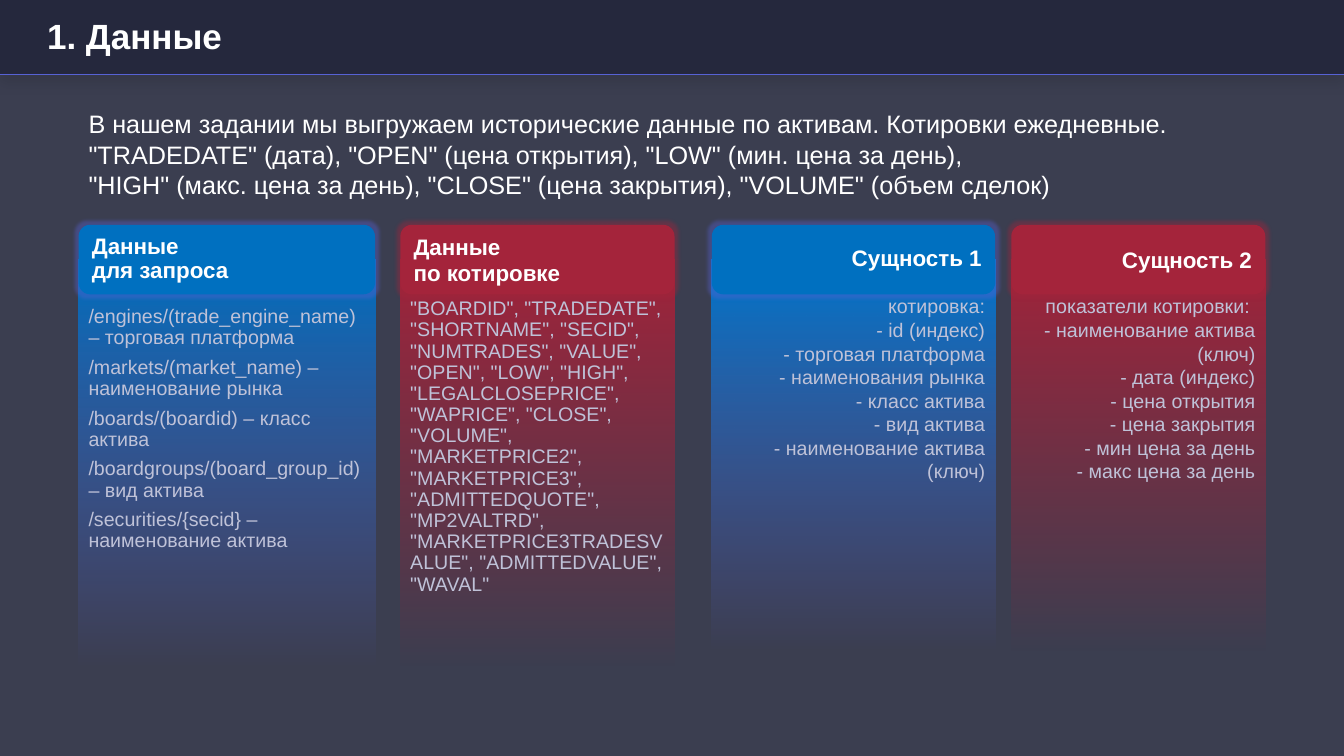
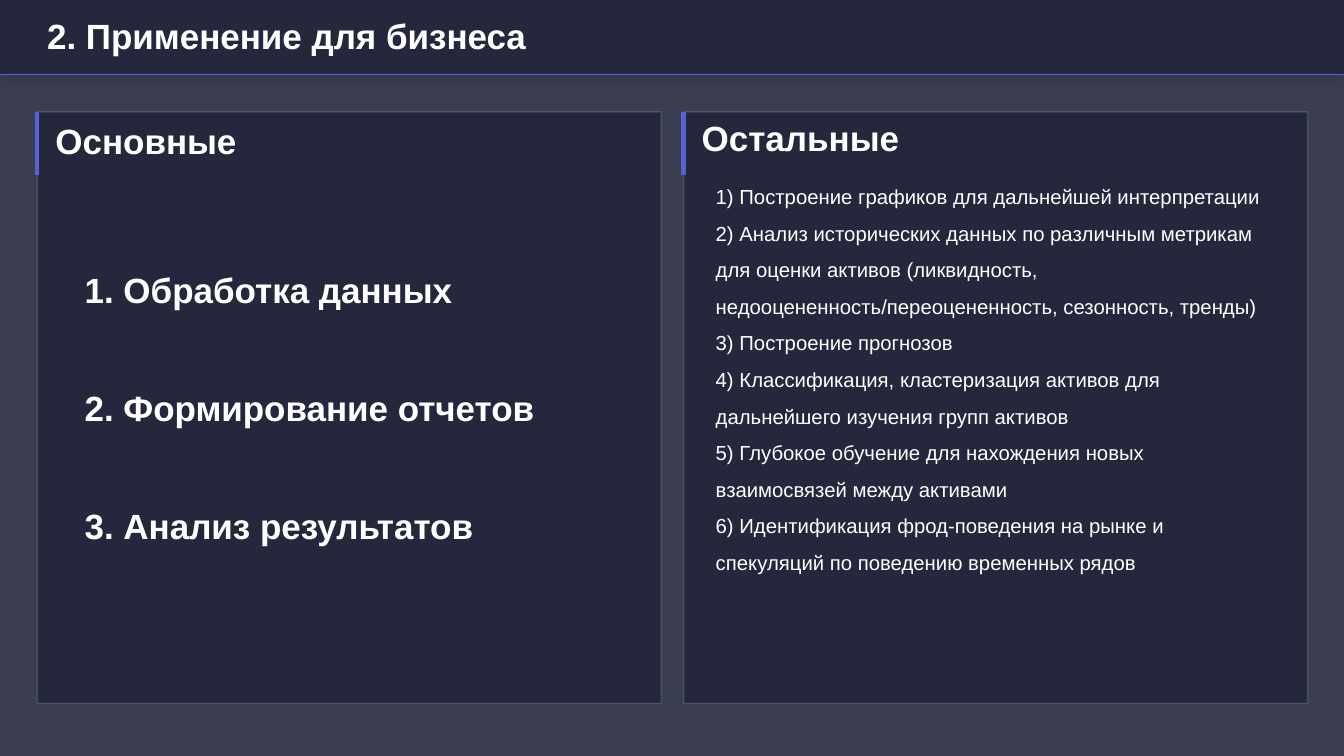
import dataclasses

import pptx
import pptx.dml.color
import pptx.enum.shapes
import pptx.enum.text
import pptx.oxml.ns
import pptx.util
from lxml import etree

Inches = pptx.util.Inches
Pt = pptx.util.Pt
Shape = pptx.enum.shapes.MSO_SHAPE
Align = pptx.enum.text.PP_ALIGN
Anchor = pptx.enum.text.MSO_ANCHOR
qn = pptx.oxml.ns.qn


@dataclasses.dataclass(frozen=True)
class Theme:
    font: str = "Arial"
    back: str = "3B3E50"
    navy: str = "25283D"
    line: str = "5762D5"
    edge: str = "99DDC8"
    blue: str = "0070C0"
    sky: str = "0077CD"
    red: str = "A4243B"
    white: str = "FFFFFF"
    pale: str = "BFC2D8"
    black: str = "000000"
    title: float = 25
    lead: float = 18
    head: float = 16
    item: float = 14.5
    body: float = 14


def tint(text):
    return pptx.dml.color.RGBColor.from_string(text)


def fade(node, share):
    """Set the opacity, in percent, of a colour node."""
    etree.SubElement(node, qn("a:alpha"), val=str(share * 1000))


class Deck:
    inset = (0.1, 0.05, 0.1, 0.05)

    def __init__(self, theme):
        self.theme = theme
        self.show = pptx.Presentation()
        self.show.slide_width = Inches(13.33)
        self.show.slide_height = Inches(7.5)
        fill = self.show.slide_master.background.fill
        fill.solid()
        fill.fore_color.rgb = tint(theme.back)

    def page(self, title):
        """Start a slide with the shared band, rule and title."""
        look = self.theme
        self.slide = self.show.slides.add_slide(self.show.slide_layouts[6])
        band = self.box((0, 0, 13.33, 0.74), look.navy)
        self.glow(band, "outerShdw", look.black, 10, blurRad=Pt(10),
                  dist=Pt(5), dir=90 * 60000)
        self.rule((0, 0.74), (13.33, 0.74), 1)
        self.text((0.37, 0.14, 12.6, 0.47), [title], look.title, bold=True,
                  space={"line_spacing": 0.9}, anchor=Anchor.MIDDLE)

    def box(self, spot, fill, kind=Shape.RECTANGLE):
        shape = self.slide.shapes.add_shape(kind, *map(Inches, spot))
        shape.shadow.inherit = False
        shape.line.fill.background()
        shape.fill.solid()
        shape.fill.fore_color.rgb = tint(fill)
        return shape

    def glow(self, shape, kind, hue, share, **sizes):
        """Add a glow or shadow effect to a shape."""
        group = shape.element.spPr.find(qn("a:effectLst"))
        node = etree.SubElement(group, qn("a:" + kind))
        for name, size in sizes.items():
            node.set(name, str(int(size)))
        fade(etree.SubElement(node, qn("a:srgbClr"), val=hue), share)

    def melt(self, shape, top, end):
        """Fill with a gradient that turns clear at the bottom."""
        fill = shape.fill
        fill.gradient()
        fill.gradient_angle = 270
        for stop, hue, place in zip(fill.gradient_stops, (top, end), (0, 1)):
            stop.color.rgb = tint(hue)
            stop.position = place
        nodes = list(shape.element.spPr.iter(qn("a:srgbClr")))
        fade(nodes[-1], 0)

    def rule(self, start, end, width):
        rule = self.slide.shapes.add_connector(
            pptx.enum.shapes.MSO_CONNECTOR.STRAIGHT,
            *map(Inches, start + end))
        rule.line.color.rgb = tint(self.theme.line)
        rule.line.width = Pt(width)
        etree.SubElement(rule.element.spPr, qn("a:effectLst"))

    def text(self, spot, lines, size, **style):
        box = self.slide.shapes.add_textbox(*map(Inches, spot))
        self.label(box, lines, size, **style)

    def label(self, shape, lines, size, hue=None, bold=False, space=None,
              align=Align.LEFT, anchor=Anchor.TOP, inset=inset):
        """Set styled paragraphs in a shape."""
        frame = shape.text_frame
        sides = ("margin_left", "margin_top", "margin_right", "margin_bottom")
        setup = dict(zip(sides, map(Inches, inset)))
        setup.update(word_wrap=True, vertical_anchor=anchor)
        for name, value in setup.items():
            setattr(frame, name, value)
        face = {"name": self.theme.font, "size": Pt(size), "bold": bold}
        form = {"alignment": align, **(space or {})}
        for index, line in enumerate(lines):
            para = frame.add_paragraph() if index else frame.paragraphs[0]
            para.text = line
            for name, value in form.items():
                setattr(para, name, value)
            for run in para.runs:
                for name, value in face.items():
                    setattr(run.font, name, value)
                run.font.color.rgb = tint(hue or self.theme.white)

    def card(self, left, width, tall, hues, halo, head, lines, top, body):
        """Draw a fading column under a glowing header."""
        look = self.theme
        cap, start, end = hues
        panel = self.box((left, 2.57, width, tall), start)
        self.melt(panel, start, end)
        self.label(panel, lines, look.body, look.pale, **body)
        crown = self.box((left, 2.23, width, 0.69), cap,
                         Shape.ROUNDED_RECTANGLE)
        self.glow(crown, "glow", halo, 40, rad=Pt(5))
        self.label(crown, [head], look.head, bold=True,
                   anchor=Anchor.MIDDLE, **top)

    def panel(self, left, drop, head):
        """Draw a framed panel with an accent bar and heading."""
        look = self.theme
        frame = self.box((left, 1.11, 6.19, 5.87), look.navy)
        frame.line.color.rgb = tint(look.edge)
        frame.line.width = Pt(1)
        edge = frame.element.spPr.find(qn("a:ln"))
        fade(next(edge.iter(qn("a:srgbClr"))), 20)
        self.rule((left, 1.11), (left, 1.74), 3)
        self.text((left + 0.18, drop, 6.08, 0.52), [head], look.title,
                  bold=True, inset=(0, 0.05, 0.1, 0.05))


def data(deck):
    look = deck.theme
    deck.page("1. Данные")
    tight = {"line_spacing": 0.9, "space_after": Pt(6)}
    left = {"space": tight, "anchor": Anchor.MIDDLE}
    right = {"align": Align.RIGHT, "inset": (0.1, 0.35, 0.1, 0)}
    blue = (look.blue, look.blue, look.line)
    sky = (look.blue, look.sky, look.line)
    red = (look.red,) * 3
    deck.card(0.78, 2.94, 4.05, blue, look.line, "Данные\nдля запроса", [
        "/engines/(trade_engine_name) – торговая платформа",
        "/markets/(market_name) – наименование рынка",
        "/boards/(boardid) – класс актива",
        "/boardgroups/(board_group_id) – вид актива",
        "/securities/{secid} – наименование актива",
    ], {"space": tight}, {**left, "inset": (0.1, 0, 0.1, 0.67)})
    deck.card(3.97, 2.72, 4.05, red, look.red, "Данные\nпо котировке", [
        '"BOARDID", "TRADEDATE", "SHORTNAME", "SECID", "NUMTRADES", '
        '"VALUE", "OPEN", "LOW", "HIGH", "LEGALCLOSEPRICE", "WAPRICE", '
        '"CLOSE", "VOLUME", "MARKETPRICE2", "MARKETPRICE3", '
        '"ADMITTEDQUOTE", "MP2VALTRD", "MARKETPRICE3TRADESVALUE", '
        '"ADMITTEDVALUE", "WAVAL"',
    ], {}, {**left, "inset": (0.1, 0.35, 0.1, 0.67)})
    deck.card(7.06, 2.81, 3.89, sky, look.line, "Сущность 1", [
        "котировка:",
        "- id (индекс)",
        "- торговая платформа",
        "- наименования рынка",
        "- класс актива",
        "- вид актива",
        "- наименование актива (ключ)",
    ], {"space": tight, "align": Align.RIGHT}, right)
    deck.card(10.03, 2.52, 3.89, red, look.red, "Сущность 2", [
        "показатели котировки: ",
        "- наименование актива (ключ)",
        "- дата (индекс)",
        "- цена открытия",
        "- цена закрытия",
        "- мин цена за день",
        "- макс цена за день",
    ], {"align": Align.RIGHT}, right)
    deck.text((0.78, 1.03, 11.65, 1.01), [
        "В нашем задании мы выгружаем исторические данные по активам. "
        "Котировки ежедневные.",
        '"TRADEDATE" (дата), "OPEN" (цена открытия), '
        '"LOW" (мин. цена за день),\n'
        '"HIGH" (макс. цена за день), "CLOSE" (цена закрытия), '
        '"VOLUME" (объем сделок)',
    ], look.lead)


def uses(deck):
    look = deck.theme
    deck.page("2. Применение для бизнеса")
    deck.panel(0.37, 1.14, "Основные")
    deck.panel(6.78, 1.11, "Остальные")
    goals = ("1. Обработка данных", "2. Формирование отчетов",
             "3. Анализ результатов")
    for index, goal in enumerate(goals):
        deck.text((0.84, 2.66 + 1.17 * index, 5.2, 0.42), [goal],
                  look.title, bold=True, inset=(0, 0, 0, 0))
    deck.text((7, 1.66, 5.62, 4.08), [
        "1) Построение графиков для дальнейшей интерпретации",
        "2) Анализ исторических данных по различным метрикам для оценки "
        "активов (ликвидность, недооцененность/переоцененность, "
        "сезонность, тренды)",
        "3) Построение прогнозов",
        "4) Классификация, кластеризация активов для дальнейшего изучения "
        "групп активов",
        "5) Глубокое обучение для нахождения новых взаимосвязей между "
        "активами",
        "6) Идентификация фрод-поведения на рынке и спекуляций по "
        "поведению временных рядов",
    ], look.item, space={"line_spacing": 1.5})


def main():
    deck = Deck(Theme())
    data(deck)
    uses(deck)
    deck.show.save("out.pptx")


if __name__ == "__main__":
    main()
